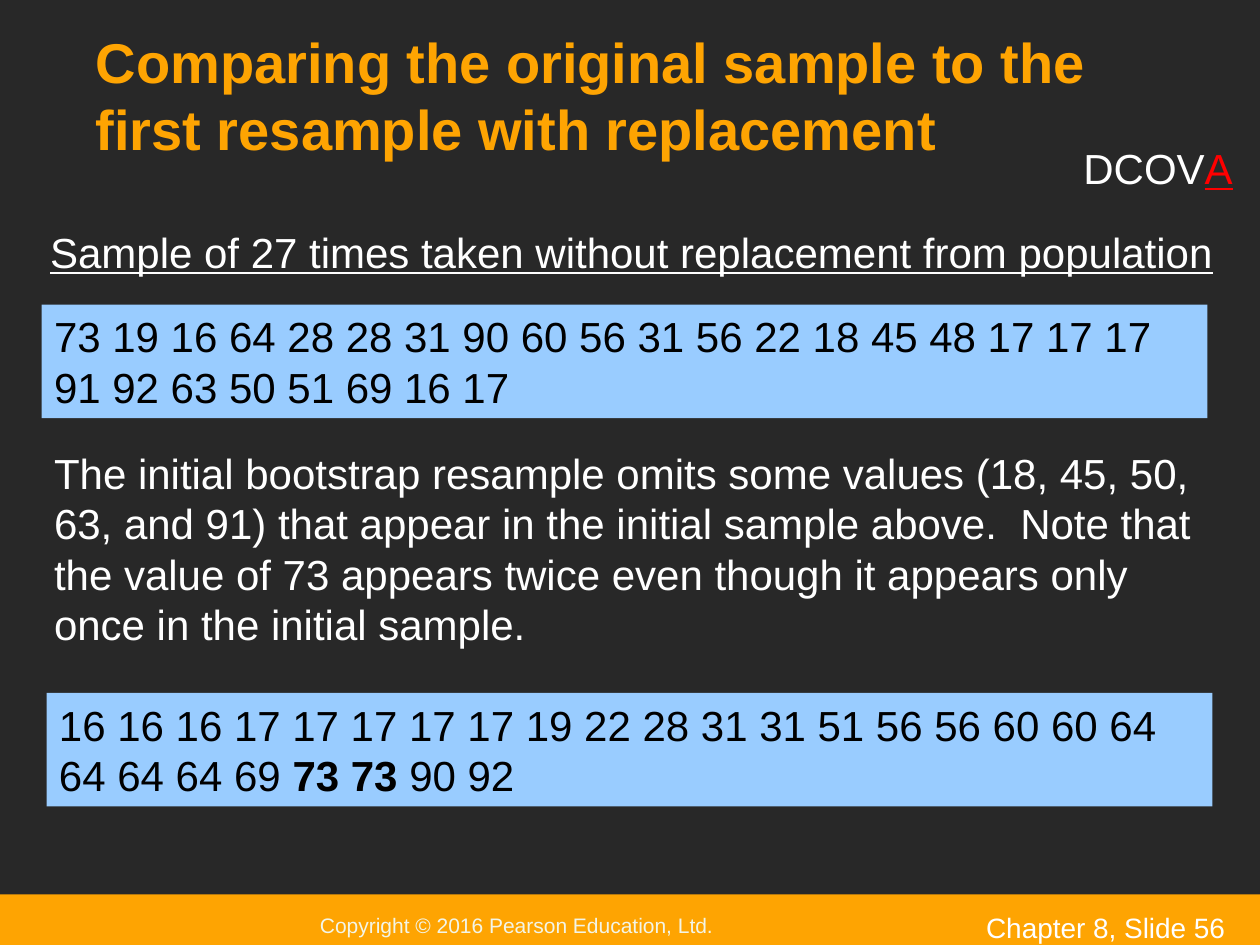
"""Build the slide that compares a sample with its first resample."""
from dataclasses import dataclass, field
from typing import Optional

from pptx import Presentation
from pptx.dml.color import RGBColor
from pptx.enum.shapes import MSO_SHAPE
from pptx.enum.text import MSO_ANCHOR, PP_ALIGN
from pptx.util import Cm, Pt

DARK = RGBColor(0x28, 0x28, 0x28)
ORANGE = RGBColor(0xFE, 0xA4, 0x02)
BLUE = RGBColor(0x99, 0xCC, 0xFF)
WHITE = RGBColor(0xFF, 0xFF, 0xFF)
CREAM = RGBColor(0xF3, 0xF5, 0xE7)
BLACK = RGBColor(0, 0, 0)
RED = RGBColor(0xFF, 0, 0)


@dataclass
class Run:
    text: str
    color: RGBColor = WHITE
    size: float = 24
    style: dict = field(default_factory=dict)


@dataclass
class Box:
    place: tuple
    runs: list
    fill: Optional[RGBColor] = None
    frame: dict = field(default_factory=dict)


BOXES = [
    Box((0, 18.03, 25.4, 1.24),
        [Run("Copyright © 2016 Pearson Education, Ltd.", CREAM, 12)], ORANGE,
        {"margin_left": Cm(6.45), "vertical_anchor": MSO_ANCHOR.MIDDLE}),
    Box((19.63, 18.22, 5.7, 0.66), [Run("Chapter 8, Slide 56", size=16)]),
    Box((21.59, 2.74, 3.7, 1.27),
        [Run("DCOV"), Run("A", RED, style={"underline": True})]),
    Box((0.84, 6.14, 23.5, 2.29),
        [Run("73 19 16 64 28 28 31 90 60 56 31 56 22 18 45 48 17 17 17 "
             "91 92 63 50 51 69 16 17", BLACK)], BLUE),
    Box((0.76, 4.44, 24.4, 1.27),
        [Run("Sample of 27 times taken without replacement from population",
             style={"underline": True})]),
    Box((0.84, 8.89, 23.7, 4.32),
        [Run("The initial bootstrap resample omits some values (18, 45, 50, "
             "63, and 91) that appear in the initial sample above.  Note that "
             "the value of 73 appears twice even though it appears only once "
             "in the initial sample.")]),
    Box((0.94, 13.97, 23.5, 2.29),
        [Run("16 16 16 17 17 17 17 17 19 22 28 31 31 51 56 56 60 60 64 "
             "64 64 64 69 ", BLACK),
         Run("73 73 ", BLACK, style={"bold": True}), Run("90 92", BLACK)], BLUE),
]
TITLE = Box((1.7, 0.66, 22.02, 2.74),
            [Run("Comparing the original sample to the first resample with "
                 "replacement", ORANGE, 32, {"bold": True})],
            frame={"vertical_anchor": MSO_ANCHOR.BOTTOM,
                   "margin_left": Cm(0.23), "margin_right": Cm(0.23)})


def apply(target: object, values: dict) -> None:
    """Set each named value on the target."""
    for name, value in values.items():
        setattr(target, name, value)


def write(shape: object, box: Box) -> None:
    """Format the frame of a shape and add its runs."""
    frame = shape.text_frame
    basic = {"word_wrap": True, "vertical_anchor": MSO_ANCHOR.TOP,
             "margin_left": Cm(0.25), "margin_right": Cm(0.25),
             "margin_top": Cm(0.13), "margin_bottom": Cm(0.13)}
    apply(frame, basic | box.frame)
    para = frame.paragraphs[0]
    apply(para, {"alignment": PP_ALIGN.LEFT, "line_spacing": 1.0})
    for item in box.runs:
        run = para.add_run()
        run.text = item.text
        apply(run.font, {"name": "Arial", "size": Pt(item.size)} | item.style)
        run.font.color.rgb = item.color


def draw(shapes: object, box: Box) -> None:
    """Add a filled panel or a plain text box."""
    place = [Cm(n) for n in box.place]
    if box.fill is None:
        shape = shapes.add_textbox(*place)
    else:
        shape = shapes.add_shape(MSO_SHAPE.RECTANGLE, *place)
        shape.shadow.inherit = False
        shape.fill.solid()
        shape.fill.fore_color.rgb = box.fill
        shape.line.fill.background()
    write(shape, box)


def main() -> None:
    """Build and save the slide."""
    deck = Presentation()
    apply(deck, {"slide_width": Cm(25.4), "slide_height": Cm(19.05)})
    slide = deck.slides.add_slide(deck.slide_layouts[5])
    slide.background.fill.solid()
    slide.background.fill.fore_color.rgb = DARK
    title = slide.shapes.title
    sides = ("left", "top", "width", "height")
    apply(title, dict(zip(sides, map(Cm, TITLE.place))))
    write(title, TITLE)
    for box in BOXES:
        draw(slide.shapes, box)
    deck.save("out.pptx")


if __name__ == "__main__":
    main()
